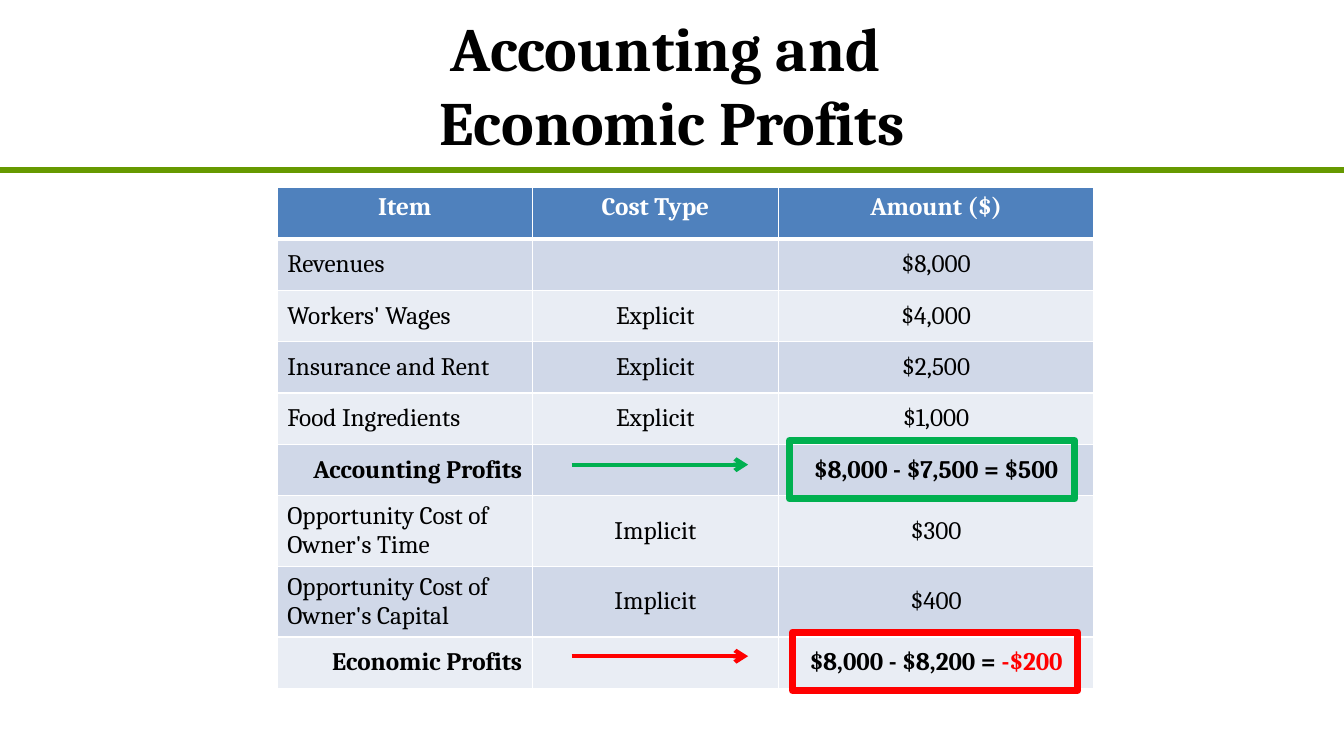
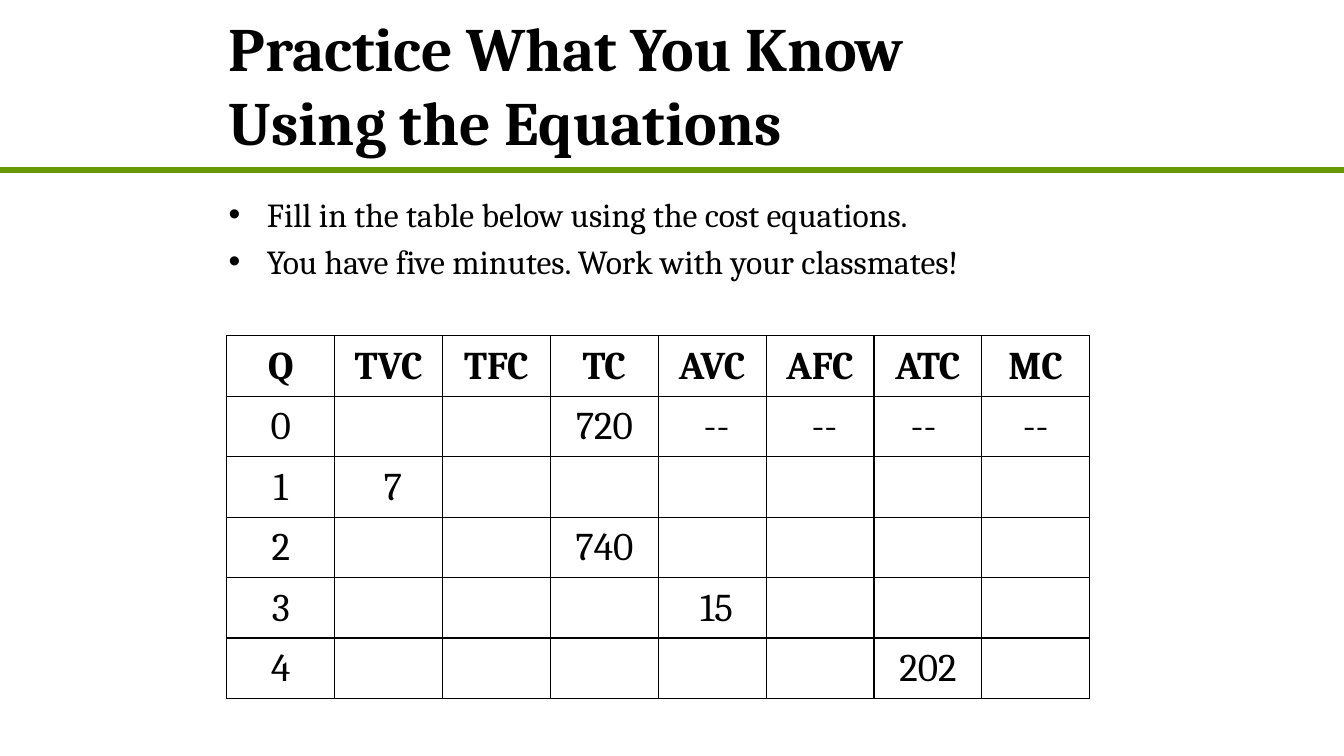
from lxml.etree import SubElement as add_node
from pptx import Presentation
from pptx.dml.color import RGBColor as Color
from pptx.enum.shapes import MSO_CONNECTOR as Link, MSO_SHAPE as Shape
from pptx.enum.text import MSO_ANCHOR as Anchor, PP_ALIGN as Align
from pptx.oxml.ns import qn
from pptx.util import Inches, Pt

FONT = "Cambria"
BLACK = Color(0x00, 0x00, 0x00)
WHITE = Color(0xFF, 0xFF, 0xFF)
OLIVE = Color(0x66, 0x99, 0x00)
GREEN = Color(0x00, 0xB0, 0x50)
RED = Color(0xFF, 0x00, 0x00)
BLUE = Color(0x4F, 0x81, 0xBD)
DARK = Color(0xD0, 0xD8, 0xE8)
LIGHT = Color(0xE9, 0xED, 0xF4)
WIDE, HIGH = 13.33, 7.5

PROFITS = [
    ("Item", "Cost Type", "Amount ($)"),
    ("Revenues", "", "$8,000"),
    ("Workers' Wages", "Explicit", "$4,000"),
    ("Insurance and Rent", "Explicit", "$2,500"),
    ("Food Ingredients", "Explicit", "$1,000"),
    ("Accounting Profits", "", "$8,000 - $7,500 = $500"),
    ("Opportunity Cost of Owner's Time", "Implicit", "$300"),
    ("Opportunity Cost of Owner's Capital", "Implicit", "$400"),
    ("Economic Profits", "", "$8,000 - $8,200 = "),
]
COSTS = [
    ("Q", "TVC", "TFC", "TC", "AVC", "AFC", "ATC", "MC"),
    ("0", "", "", "720", " --", " --", "-- ", "--"),
    ("1", " 7", "", "", "", "", "", ""),
    ("2", "", "", "740", "", "", "", ""),
    ("3", "", "", "", " 15", "", "", ""),
    ("4", "", "", "", "", "", "202", ""),
]
TASKS = [
    "Fill in the table below using the cost equations.",
    "You have five minutes. Work with your classmates!",
]


def style(run, size, color=BLACK, bold=False):
    font = run.font
    font.name, font.size, font.bold = FONT, Pt(size), bold
    font.color.rgb = color


def add_text(slide, box, text, size, bold=False, align=Align.LEFT, anchor=Anchor.TOP):
    frame = slide.shapes.add_textbox(*map(Inches, box)).text_frame
    frame.word_wrap = True
    frame.vertical_anchor = anchor
    frame.text = text
    for para in frame.paragraphs:
        para.alignment = align
        for run in para.runs:
            style(run, size, bold=bold)
    return frame


def add_line(slide, start, end, color, width):
    line = slide.shapes.add_connector(Link.STRAIGHT, *map(Inches, start + end))
    line.line.color.rgb = color
    line.line.width = Pt(width)
    add_node(line.element.spPr, qn("a:effectLst"))
    return line.element.spPr.find(qn("a:ln"))


def add_page(deck, title, box, align):
    slide = deck.slides.add_slide(deck.slide_layouts[6])
    add_line(slide, (0, 1.69), (WIDE, 1.69), OLIVE, 4.5)
    add_text(slide, box, title, 44, True, align, Anchor.MIDDLE)
    return slide


def add_edge(cell, side, color, width):
    edge = add_node(cell._tc.get_or_add_tcPr(), qn("a:ln" + side), w=str(Pt(width)))
    fill = add_node(edge, qn("a:solidFill"))
    add_node(fill, qn("a:srgbClr"), val=str(color))


def add_grid(slide, left, top, data, widths, heights, size, edge, pads):
    box = map(Inches, (left, top, sum(widths), sum(heights)))
    table = slide.shapes.add_table(len(data), len(widths), *box).table
    table.horz_banding = False
    table.first_row = False
    for col, width in zip(table.columns, widths):
        col.width = Inches(width)
    for row, height, texts in zip(table.rows, heights, data):
        row.height = Inches(height)
        for cell, text in zip(row.cells, texts):
            cell.margin_left, cell.margin_top, cell.margin_right, cell.margin_bottom = map(Inches, pads)
            cell.vertical_anchor = Anchor.MIDDLE
            for side in "LRTB":
                add_edge(cell, side, edge, 1)
            cell.fill.background()
            cell.text_frame.text = text
            para = cell.text_frame.paragraphs[0]
            para.alignment = Align.CENTER
            para.font.size = Pt(size)
            for run in para.runs:
                style(run, size, bold=texts is data[0])
    return table


def tint_rows(table):
    for index, row in enumerate(table.rows):
        total = "Profits" in row.cells[0].text_frame.text
        for place, cell in enumerate(row.cells):
            para = cell.text_frame.paragraphs[0]
            cell.fill.solid()
            cell.fill.fore_color.rgb = (LIGHT, DARK)[index % 2] if index else BLUE
            if index == 0:
                cell.vertical_anchor = Anchor.TOP
            elif place == 0:
                para.alignment = Align.RIGHT if total else Align.LEFT
            if index < 2:
                side = "T" if index else "B"
                cell._tc.tcPr.find(qn("a:ln" + side)).set("w", str(Pt(3)))
            for run in para.runs:
                style(run, 18, BLACK if index else WHITE, total or index == 0)


def add_mark(slide, left, top, gap, color):
    level = top + 0.24
    line = add_line(slide, (left, level), (left + 1.75, level), color, 3)
    add_node(line, qn("a:tailEnd"), type="arrow")
    frame = slide.shapes.add_shape(Shape.RECTANGLE, *map(Inches, (left + gap, top, 2.83, 0.58)))
    frame.shadow.inherit = False
    frame.fill.background()
    frame.line.color.rgb = color
    frame.line.width = Pt(5)
    add_node(frame.element.spPr.find(qn("a:ln")), qn("a:round"))


def add_list(slide, box, items):
    frame = add_text(slide, box, "\n".join(items), 24)
    for para in frame.paragraphs:
        para.space_before = Pt(5)
        props = para._p.get_or_add_pPr()
        props.set("marL", str(Inches(0.38)))
        props.set("indent", str(Inches(-0.38)))
        add_node(props, qn("a:buFont"), typeface="Arial")
        add_node(props, qn("a:buChar"), char="•")


def add_profits(deck):
    slide = add_page(deck, "Accounting and \vEconomic Profits", (0.67, 0, 12, 1.67), Align.CENTER)
    heights = [0.7 if "Owner" in row[0] else 0.51 for row in PROFITS]
    table = add_grid(slide, 2.75, 1.86, PROFITS, (2.53, 2.44, 3.13), heights, 18, WHITE, (0.1, 0.05, 0.1, 0.05))
    tint_rows(table)
    loss = table.cell(len(PROFITS) - 1, 2).text_frame.paragraphs[0].add_run()
    loss.text = "-$200"
    style(loss, 18, RED, True)
    add_mark(slide, 5.67, 4.37, 2.16, GREEN)
    add_mark(slide, 5.67, 6.27, 2.19, RED)


def add_practice(deck):
    slide = add_page(deck, "Practice What You Know\vUsing the Equations", (2.17, 0, 9, 1.67), Align.LEFT)
    add_list(slide, (2.17, 1.87, 9, 1.17), TASKS)
    add_grid(slide, 2.25, 3.33, COSTS, [1.07] * 8, [0.6] * 6, 28, BLACK, (0.01, 0.01, 0.01, 0))


def main():
    deck = Presentation()
    deck.slide_width, deck.slide_height = Inches(WIDE), Inches(HIGH)
    add_profits(deck)
    add_practice(deck)
    deck.save("out.pptx")


if __name__ == "__main__":
    main()
